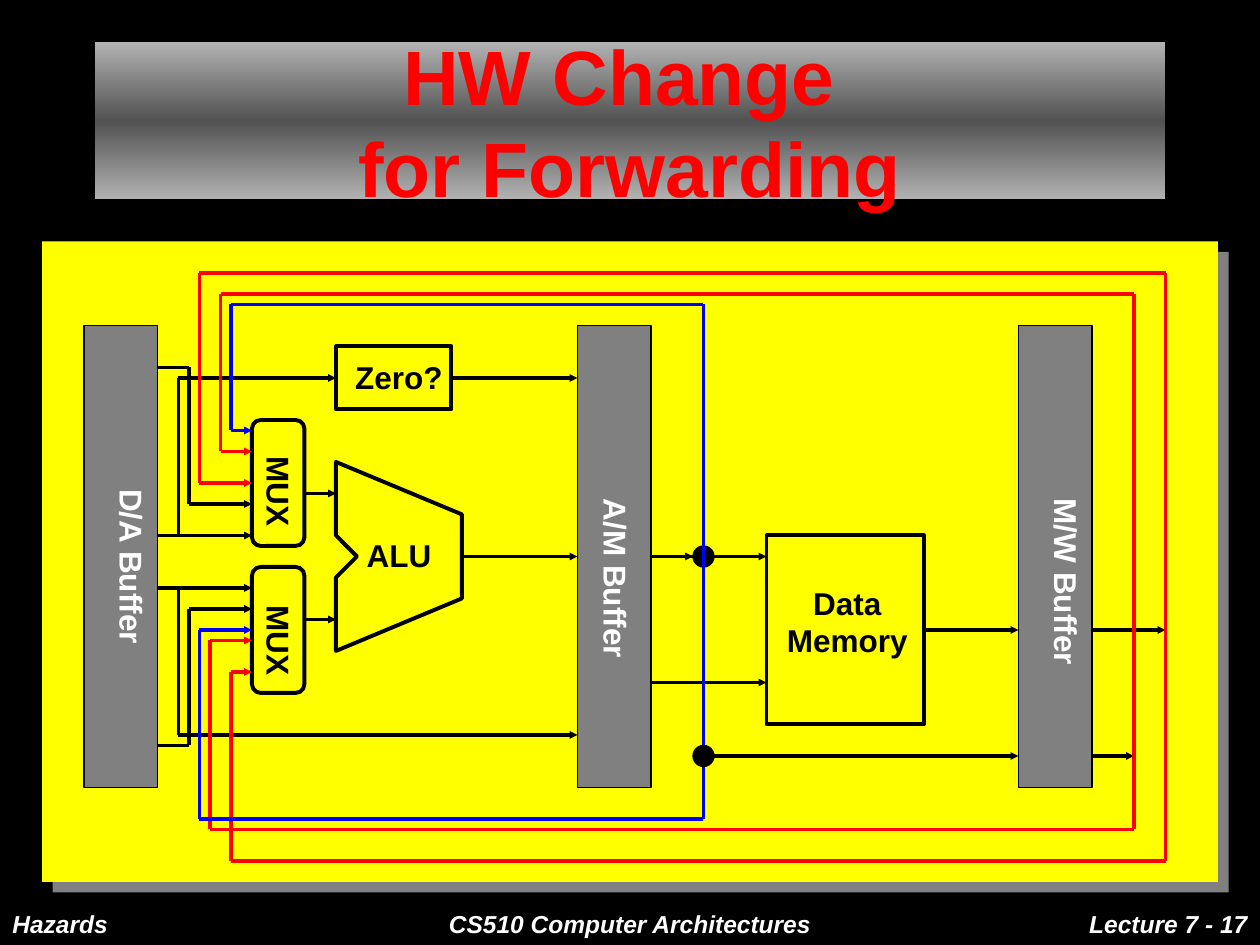
from copy import deepcopy
from itertools import pairwise
from typing import NamedTuple

from lxml.etree import SubElement
from pptx import Presentation
from pptx.dml.color import RGBColor
from pptx.enum.shapes import MSO_CONNECTOR, MSO_SHAPE
from pptx.enum.text import MSO_ANCHOR, MSO_AUTO_SIZE, PP_ALIGN
from pptx.oxml.ns import qn
from pptx.util import Emu, Inches, Pt

PX = 7620  # EMU per px, 120 px to the inch
FONT = "Arial"
COLORS = {
    "black": "000000", "white": "FFFFFF", "yellow": "FFFF00", "gray": "808080",
    "red": "FF0000", "blue": "0000FF", "light": "B2B2B2", "dark": "525252",
}
WIRE_WIDTH = 2.25
MUX_INPUT_X = 240


class Box(NamedTuple):
    left: int
    top: int
    width: int
    height: int
    kind: MSO_SHAPE = MSO_SHAPE.RECTANGLE
    fill: str | None = None
    line: str | None = "black"
    weight: float = WIRE_WIDTH


class Label(NamedTuple):
    lines: tuple[str, ...]
    left: int
    top: int
    width: int
    height: int
    color: str = "black"
    align: PP_ALIGN = PP_ALIGN.CENTER
    size: int = 18
    italic: bool = False
    vertical: bool = False


class Wire(NamedTuple):
    points: tuple[tuple[int, int], ...]
    color: str = "black"
    head: bool = False
    tail: bool = True


class Loop(NamedTuple):
    """Forwarding path that runs around the pipeline into both MUXes."""
    color: str
    upper_x: int
    upper_y: int
    top: int
    right: int
    bottom: int
    lower_x: int
    lower_y: int


def buffer(left: int) -> Box:
    return Box(left, 310, 70, 440, fill="gray", weight=1)


def mux(top: int) -> Box:
    return Box(MUX_INPUT_X, top, 50, 120, MSO_SHAPE.ROUNDED_RECTANGLE)


def junction(y: int) -> Box:
    return Box(660, y - 10, 20, 20, MSO_SHAPE.OVAL, "black", weight=0.75)


def side_label(text: str, left: int, top: int, height: int, color: str = "white") -> Label:
    return Label((text,), left, top, 60, height, color, PP_ALIGN.LEFT, vertical=True)


def footer(text: str, left: int, width: int, align: PP_ALIGN) -> Label:
    return Label((text,), left, 860, width, 60, "white", align, 14, True)


PANEL = Box(40, 230, 1120, 610, fill="yellow", line=None)
UNITS = [
    buffer(80), buffer(550), buffer(970), mux(400), mux(540),
    Box(320, 330, 110, 60),
    Box(730, 510, 150, 180),
]
ALU_OUTLINE = [(320, 440), (440, 490), (440, 570), (320, 620),
               (320, 550), (340, 530), (320, 510)]
WIRES = [
    Wire(((150, 510), (240, 510))),
    Wire(((150, 350), (180, 350), (180, 480), (240, 480))),
    Wire(((170, 510), (170, 360), (320, 360))),
    Wire(((150, 560), (240, 560))),
    Wire(((150, 710), (180, 710), (180, 580), (240, 580))),
    Wire(((170, 560), (170, 700), (550, 700))),
    Wire(((290, 470), (320, 470))),
    Wire(((290, 590), (320, 590))),
    Wire(((430, 360), (550, 360))),
    Wire(((440, 530), (550, 530))),
    Wire(((620, 530), (730, 530))),
    Wire(((620, 530), (660, 530))),
    Wire(((620, 650), (730, 650))),
    Wire(((880, 600), (970, 600))),
    Wire(((1040, 600), (1110, 600))),
    Wire(((670, 720), (970, 720))),
    Wire(((1040, 720), (1080, 720))),
    Wire(((670, 530), (670, 720)), tail=False),
]
LOOPS = [
    Loop("red", 190, 460, 260, 1110, 820, 220, 640),
    Loop("red", 210, 430, 280, 1080, 790, 200, 610),
    Loop("blue", 220, 410, 290, 670, 780, 190, 600),
]
LABELS = [
    Label(("Zero?",), 320, 335, 120, 48),
    Label(("ALU",), 320, 505, 120, 48),
    Label(("Data", "Memory"), 727, 550, 160, 84),
    side_label("MUX", 230, 423, 110, "black"),
    side_label("MUX", 230, 565, 110, "black"),
    side_label("D/A Buffer", 90, 454, 240),
    side_label("A/M Buffer", 551, 463, 240),
    side_label("M/W Buffer", 980, 463, 240),
    footer("Hazards", 0, 250, PP_ALIGN.LEFT),
    footer("CS510 Computer Architectures", 410, 380, PP_ALIGN.CENTER),
    footer("Lecture 7 - 17", 950, 250, PP_ALIGN.RIGHT),
]


def rgb(name: str) -> RGBColor:
    return RGBColor.from_string(COLORS[name])


def px(*lengths: int) -> list[Emu]:
    return [Emu(length * PX) for length in lengths]


def add_run(paragraph, text: str, size: int, color: str, italic: bool = False) -> None:
    run = paragraph.add_run()
    run.text = text
    font = run.font
    font.name, font.size, font.bold, font.italic = FONT, Pt(size), True, italic
    font.color.rgb = rgb(color)


def style_shape(shape, fill: str | None, line: str | None, weight: float) -> None:
    shape.shadow.inherit = False
    if fill:
        shape.fill.solid()
        shape.fill.fore_color.rgb = rgb(fill)
    else:
        shape.fill.background()
    if line:
        shape.line.color.rgb = rgb(line)
        shape.line.width = Pt(weight)
    else:
        shape.line.fill.background()


def add_box(slide, box: Box):
    shape = slide.shapes.add_shape(box.kind, *px(*box[:4]))
    style_shape(shape, box.fill, box.line, box.weight)
    return shape


def add_hard_shadow(shape) -> None:
    effects = shape._element.spPr.find(qn("a:effectLst"))
    shadow = SubElement(effects, qn("a:outerShdw"), dist=str(Pt(8.5)), dir="2700000",
                        algn="ctr", rotWithShape="0")
    SubElement(shadow, qn("a:srgbClr"), val=COLORS["gray"])


def side_midpoints(box: Box) -> list[tuple[int, int]]:
    """Connection sites in order: top, left, bottom, right."""
    mid_x, mid_y = box.left + box.width // 2, box.top + box.height // 2
    return [(mid_x, box.top), (box.left, mid_y),
            (mid_x, box.top + box.height), (box.left + box.width, mid_y)]


def add_wire(slide, wire: Wire, sites: dict) -> None:
    last = len(wire.points) - 2
    for i, (start, end) in enumerate(pairwise(wire.points)):
        segment = slide.shapes.add_connector(MSO_CONNECTOR.STRAIGHT, *px(*start, *end))
        segment.line.color.rgb = rgb(wire.color)
        segment.line.width = Pt(WIRE_WIDTH)
        line = segment.line._get_or_add_ln()
        if wire.head and i == 0:
            SubElement(line, qn("a:headEnd"), type="triangle", w="sm", len="sm")
        if wire.tail and i == last:
            SubElement(line, qn("a:tailEnd"), type="triangle", w="sm", len="sm")
        SubElement(segment._element.spPr, qn("a:effectLst"))
        if start in sites:
            segment.begin_connect(*sites[start])
        if end in sites:
            segment.end_connect(*sites[end])


def loop_wire(loop: Loop) -> Wire:
    color, x1, y1, top, right, bottom, x2, y2 = loop
    points = ((MUX_INPUT_X, y1), (x1, y1), (x1, top), (right, top),
              (right, bottom), (x2, bottom), (x2, y2), (MUX_INPUT_X, y2))
    return Wire(points, color, head=True)


def add_label(slide, label: Label) -> None:
    frame = slide.shapes.add_textbox(
        *px(label.left, label.top, label.width, label.height)).text_frame
    frame.word_wrap = True
    if label.vertical:
        frame._txBody.bodyPr.set("vert", "eaVert")
        frame.margin_left = frame.margin_right = Inches(0.05)
        frame.margin_top = frame.margin_bottom = Inches(0.1)
    for i, text in enumerate(label.lines):
        paragraph = frame.add_paragraph() if i else frame.paragraphs[0]
        paragraph.alignment = label.align
        add_run(paragraph, text, label.size, label.color, label.italic)


def format_title(title) -> None:
    title.left, title.top, title.width, title.height = px(90, 40, 1020, 150)
    fill = title.fill
    fill.gradient()
    fill.gradient_angle = 90
    first = fill.gradient_stops[0]._gs
    first.addnext(deepcopy(first))
    for stop, position, color in zip(fill.gradient_stops, (0, 0.5, 1),
                                     ("light", "dark", "light")):
        stop.position = position
        stop.color.rgb = rgb(color)
    frame = title.text_frame
    frame.auto_size = MSO_AUTO_SIZE.NONE
    frame.vertical_anchor = MSO_ANCHOR.MIDDLE
    paragraph = frame.paragraphs[0]
    paragraph.alignment = PP_ALIGN.CENTER
    add_run(paragraph, "HW Change ", 44, "red")
    paragraph.add_line_break()
    add_run(paragraph, "for Forwarding", 44, "red")


def main() -> None:
    deck = Presentation()
    deck.slide_width, deck.slide_height = px(1200, 900)
    slide = deck.slides.add_slide(deck.slide_layouts[5])
    slide.background.fill.solid()
    slide.background.fill.fore_color.rgb = rgb("black")
    format_title(slide.shapes.title)

    add_hard_shadow(add_box(slide, PANEL))
    sites = {}
    for unit in UNITS:
        shape = add_box(slide, unit)
        sites |= {point: (shape, i) for i, point in enumerate(side_midpoints(unit))}
    alu = slide.shapes.build_freeform(*ALU_OUTLINE[0], scale=float(PX))
    alu.add_line_segments(ALU_OUTLINE[1:], close=True)
    style_shape(alu.convert_to_shape(), None, "black", WIRE_WIDTH)

    for wire in WIRES:
        add_wire(slide, wire, sites)
    for label in LABELS:
        add_label(slide, label)
    add_box(slide, junction(530))
    for loop in LOOPS:
        add_wire(slide, loop_wire(loop), sites)
    add_box(slide, junction(720))
    deck.save("out.pptx")


if __name__ == "__main__":
    main()
